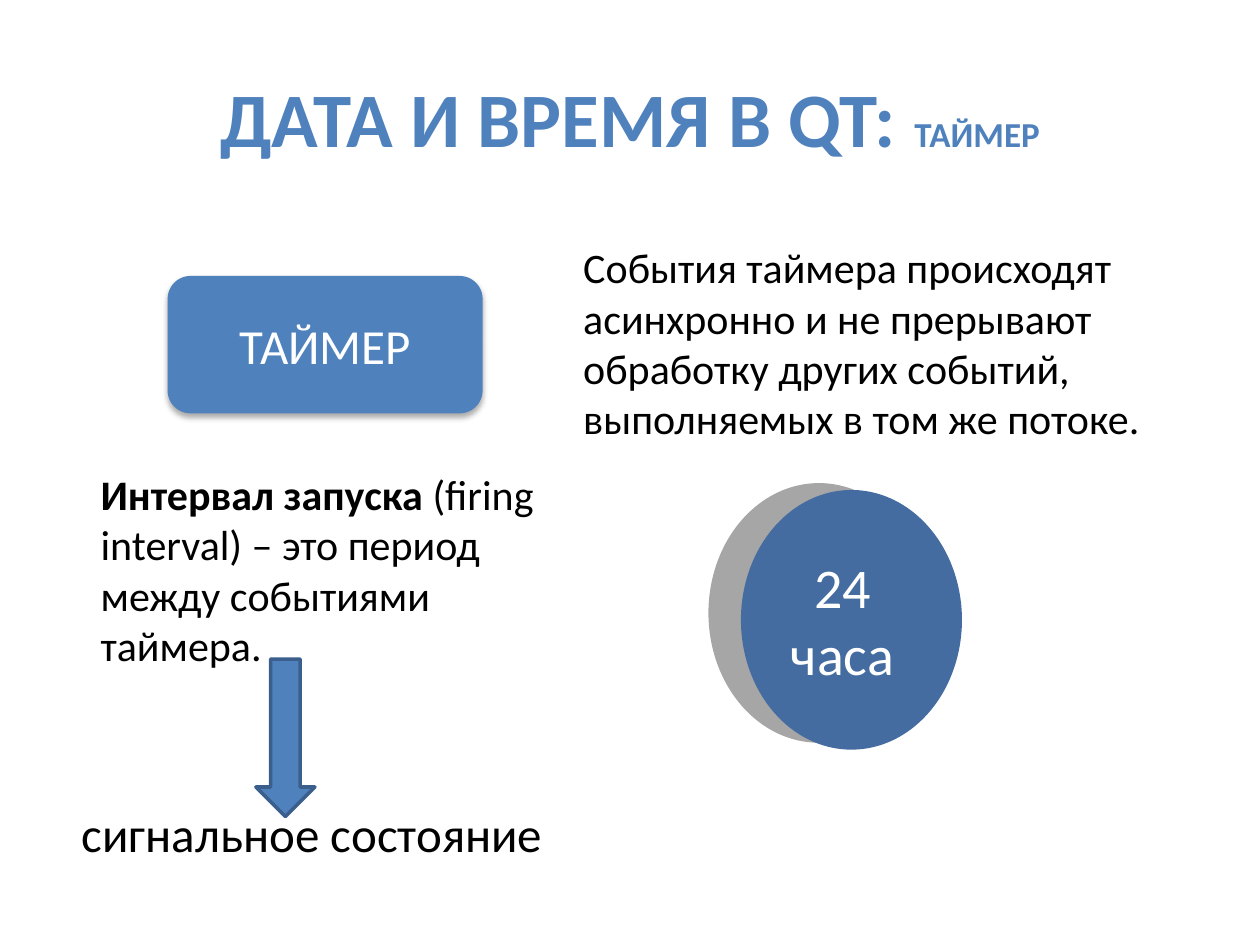
from dataclasses import dataclass
from typing import Optional

from lxml import etree
from pptx import Presentation
from pptx import util as u
from pptx.dml.color import RGBColor
from pptx.enum import shapes, text
from pptx.oxml.ns import qn

COLORS = {
    "blue": "4F81BD",
    "deep_blue": "446CA0",
    "outline": "3A5F8C",
    "black": "000000",
    "white": "FFFFFF",
}
FONT = "Calibri"


@dataclass(frozen=True)
class Box:
    left: float
    top: float
    width: float
    height: float

    def lengths(self) -> tuple:
        return tuple(u.Pt(v) for v in (self.left, self.top, self.width, self.height))


@dataclass(frozen=True)
class Run:
    text: str
    size: float
    bold: bool = False


@dataclass(frozen=True)
class Label:
    box: Box
    runs: tuple[Run, ...]
    color: str = "black"
    centered: bool = False
    wrap: bool = True


@dataclass(frozen=True)
class Shadow:
    blur: float
    distance: float
    angle: int
    opacity: int


@dataclass(frozen=True)
class Figure:
    kind: shapes.MSO_SHAPE
    box: Box
    fill: str
    runs: tuple[Run, ...] = ()
    line: Optional[str] = None
    shadow: Optional[Shadow] = None
    insets: tuple[float, float] = (7.2, 7.2)


LABELS = (
    Label(Box(36, 21.6, 648, 90),
          (Run("ДАТА И ВРЕМЯ В QT: ", 44, True), Run("ТАЙМЕР", 20, True)),
          "blue", centered=True),
    Label(Box(326.2, 134.6, 360, 123.8),
          (Run("События таймера происходят асинхронно и не прерывают обработку "
               "других событий, выполняемых в том же потоке.", 24),)),
    Label(Box(50.4, 264.2, 270, 123.8),
          (Run("Интервал запуска ", 24, True),
           Run("(firing interval) – это период между событиями таймера.", 24))),
    Label(Box(39.6, 455.8, 280.8, 41), (Run("сигнальное состояние", 28),), wrap=False),
)

FIGURES = (
    Figure(shapes.MSO_SHAPE.ROUNDED_RECTANGLE, Box(95.8, 157.7, 180, 78.5), "blue",
           (Run("ТАЙМЕР", 28),), shadow=Shadow(3.5, 2.2, 90, 32)),
    Figure(shapes.MSO_SHAPE.DOWN_ARROW, Box(146.2, 376.6, 33.8, 90), "blue", line="outline"),
    Figure(shapes.MSO_SHAPE.OVAL, Box(423.4, 280, 126.3, 148.4), "deep_blue",
           (Run("24 часа", 32),), shadow=Shadow(0, 19, 192, 34), insets=(0, 10)),
)


def rgb(name: str) -> RGBColor:
    return RGBColor.from_string(COLORS[name])


def write(tf, runs: tuple[Run, ...], color: str, centered: bool) -> None:
    p = tf.paragraphs[0]
    if centered:
        tf.vertical_anchor = text.MSO_ANCHOR.MIDDLE
        p.alignment = text.PP_ALIGN.CENTER
    for run in runs:
        r = p.add_run()
        r.text = run.text
        r.font.name = FONT
        r.font.size = u.Pt(run.size)
        r.font.bold = run.bold
        r.font.color.rgb = rgb(color)


def add_label(s, label: Label) -> None:
    tf = s.shapes.add_textbox(*label.box.lengths()).text_frame
    tf.word_wrap = label.wrap
    write(tf, label.runs, label.color, label.centered)


def add_shadow(sp, shadow: Shadow) -> None:
    effects = sp._element.spPr.find(qn("a:effectLst"))
    outer = etree.SubElement(
        effects, qn("a:outerShdw"), blurRad=str(u.Pt(shadow.blur)),
        dist=str(u.Pt(shadow.distance)), dir=str(shadow.angle * 60000),
        algn="ctr", rotWithShape="0")
    color = etree.SubElement(outer, qn("a:srgbClr"), val=COLORS["black"])
    etree.SubElement(color, qn("a:alpha"), val=str(shadow.opacity * 1000))


def add_figure(s, figure: Figure) -> None:
    sp = s.shapes.add_shape(figure.kind, *figure.box.lengths())
    sp.fill.solid()
    sp.fill.fore_color.rgb = rgb(figure.fill)
    if figure.line:
        sp.line.color.rgb = rgb(figure.line)
        sp.line.width = u.Pt(2)
    else:
        sp.line.fill.background()
    sp.shadow.inherit = False
    if figure.shadow:
        add_shadow(sp, figure.shadow)
    tf = sp.text_frame
    tf.word_wrap = True
    tf.margin_left, tf.margin_right = (u.Pt(v) for v in figure.insets)
    write(tf, figure.runs, "white", centered=True)


def main() -> None:
    prs = Presentation()
    prs.slide_width, prs.slide_height = u.Pt(720), u.Pt(540)
    s = prs.slides.add_slide(prs.slide_layouts[6])
    for label in LABELS:
        add_label(s, label)
    for figure in FIGURES:
        add_figure(s, figure)
    prs.save("out.pptx")


if __name__ == "__main__":
    main()
